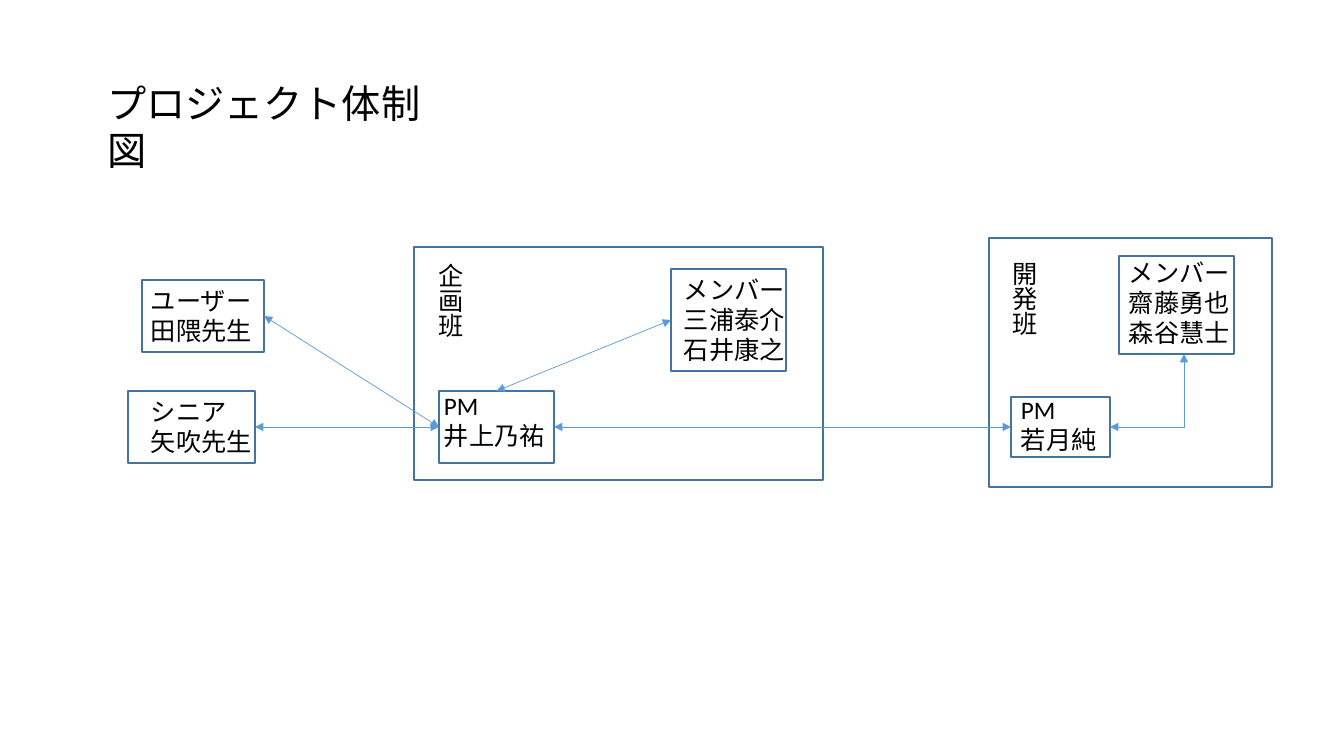
from dataclasses import dataclass

from lxml.etree import SubElement
from pptx import Presentation
from pptx.dml.color import RGBColor
from pptx.enum.shapes import MSO_CONNECTOR as Link, MSO_SHAPE as Preset
from pptx.enum.text import MSO_ANCHOR as Anchor, MSO_AUTO_SIZE as Fit, PP_ALIGN as Align
from pptx.oxml.ns import qn
from pptx.shapes.autoshape import Shape
from pptx.shapes.connector import Connector
from pptx.slide import Slide
from pptx.util import Emu, Pt

EMU_PER_PX = 914400 / 100.8
TOP, LEFT, BOTTOM, RIGHT = range(4)


def px(length: int) -> Emu:
    return Emu(round(length * EMU_PER_PX))


@dataclass(frozen=True)
class Theme:
    font: str = "Calibri"
    ink: RGBColor = RGBColor(0x00, 0x00, 0x00)
    border: RGBColor = RGBColor(0x43, 0x73, 0x9E)
    arrow: RGBColor = RGBColor(0x5B, 0x9B, 0xD5)
    title_pt: float = 28
    body_pt: float = 18
    border_pt: float = 1
    arrow_pt: float = 0.5


THEME = Theme()


@dataclass(frozen=True)
class Area:
    x: int
    y: int
    w: int
    h: int

    def emu(self) -> tuple[Emu, Emu, Emu, Emu]:
        return px(self.x), px(self.y), px(self.w), px(self.h)


@dataclass(frozen=True)
class Role:
    """A bordered box and the label lying over it."""
    key: str
    lines: tuple[str, ...]
    box: Area
    label: Area


@dataclass(frozen=True)
class Team:
    """A frame round several roles, with a vertical name."""
    name: str
    frame: Area
    label: Area


@dataclass(frozen=True)
class Contact:
    """A two-way line between the sides of two role boxes."""
    start: str
    start_side: int
    end: str
    end_side: int


ROLES = (
    Role("user", ("ユーザー", "田隈先生"), Area(142, 280, 122, 72), Area(141, 280, 206, 72)),
    Role("senior", ("シニア", "矢吹先生"), Area(128, 391, 127, 72), Area(141, 391, 166, 72)),
    Role("plan_pm", ("PM", "井上乃祐"), Area(439, 391, 115, 72), Area(434, 385, 175, 72)),
    Role("plan_members", ("メンバー", "三浦泰介", "石井康之"),
         Area(671, 269, 115, 102), Area(674, 269, 159, 102)),
    Role("dev_pm", ("PM", "若月純"), Area(1011, 397, 99, 60), Area(1011, 389, 99, 72)),
    Role("dev_members", ("メンバー", "齋藤勇也", "森谷慧士"),
         Area(1119, 256, 115, 98), Area(1119, 252, 129, 102)),
)
TEAMS = (
    Team("企画班", Area(414, 247, 409, 233), Area(420, 253, 50, 103)),
    Team("開発班", Area(989, 238, 283, 249), Area(994, 251, 50, 172)),
)
CONTACTS = (
    Contact("user", RIGHT, "plan_pm", LEFT),
    Contact("senior", RIGHT, "plan_pm", LEFT),
    Contact("plan_pm", RIGHT, "dev_pm", LEFT),
    Contact("plan_members", LEFT, "plan_pm", TOP),
)


def write(shape: Shape, *lines: str, size: float = THEME.body_pt, vertical: bool = False) -> None:
    frame = shape.text_frame
    frame.text = "\n".join(lines)
    frame.word_wrap = True
    frame.auto_size = Fit.SHAPE_TO_FIT_TEXT
    frame.vertical_anchor = Anchor.TOP
    if vertical:
        shape.element.txBody.bodyPr.set("vert", "eaVert")
    for paragraph in frame.paragraphs:
        paragraph.alignment = Align.LEFT
        for run in paragraph.runs:
            run.font.name = THEME.font
            run.font.size = Pt(size)
            run.font.color.rgb = THEME.ink


def add_label(slide: Slide, area: Area, *lines: str, vertical: bool = False) -> None:
    write(slide.shapes.add_textbox(*area.emu()), *lines, vertical=vertical)


def add_box(slide: Slide, area: Area) -> Shape:
    box = slide.shapes.add_shape(Preset.RECTANGLE, *area.emu())
    box.shadow.inherit = False
    box.fill.background()
    box.line.color.rgb = THEME.border
    box.line.width = Pt(THEME.border_pt)
    return box


def style_arrow(arrow: Connector) -> None:
    arrow.line.color.rgb = THEME.arrow
    arrow.line.width = Pt(THEME.arrow_pt)
    properties = arrow.element.spPr
    outline = properties.find(qn("a:ln"))
    for end in ("a:headEnd", "a:tailEnd"):
        SubElement(outline, qn(end)).set("type", "triangle")
    SubElement(properties, qn("a:effectLst"))


def add_contact(slide: Slide, contact: Contact, boxes: dict[str, Shape]) -> None:
    arrow = slide.shapes.add_connector(Link.STRAIGHT, 0, 0, 0, 0)
    arrow.begin_connect(boxes[contact.start], contact.start_side)
    arrow.end_connect(boxes[contact.end], contact.end_side)
    style_arrow(arrow)


def add_corner(slide: Slide, x1: int, y1: int, x2: int, y2: int) -> None:
    arrow = slide.shapes.add_connector(Link.ELBOW, px(x1), px(y1), px(x2), px(y2))
    # A single bend: across, then up
    arrow.element.spPr.find(qn("a:prstGeom")).set("prst", "bentConnector2")
    style_arrow(arrow)


def main() -> None:
    deck = Presentation()
    deck.slide_width, deck.slide_height = px(1344), px(756)
    slide = deck.slides.add_slide(deck.slide_layouts.get_by_name("Title Only"))

    # Title
    title = slide.shapes.title
    title.left, title.top, title.width, title.height = Area(97, 74, 357, 57).emu()
    write(title, "プロジェクト体制図", size=THEME.title_pt)

    # Teams
    for team in TEAMS:
        add_box(slide, team.frame)
        add_label(slide, team.label, team.name, vertical=True)

    # Roles
    boxes = {}
    for role in ROLES:
        boxes[role.key] = add_box(slide, role.box)
        add_label(slide, role.label, *role.lines)

    # Lines of contact
    for contact in CONTACTS:
        add_contact(slide, contact, boxes)
    add_corner(slide, 1110, 427, 1184, 354)

    deck.save("out.pptx")


if __name__ == "__main__":
    main()
